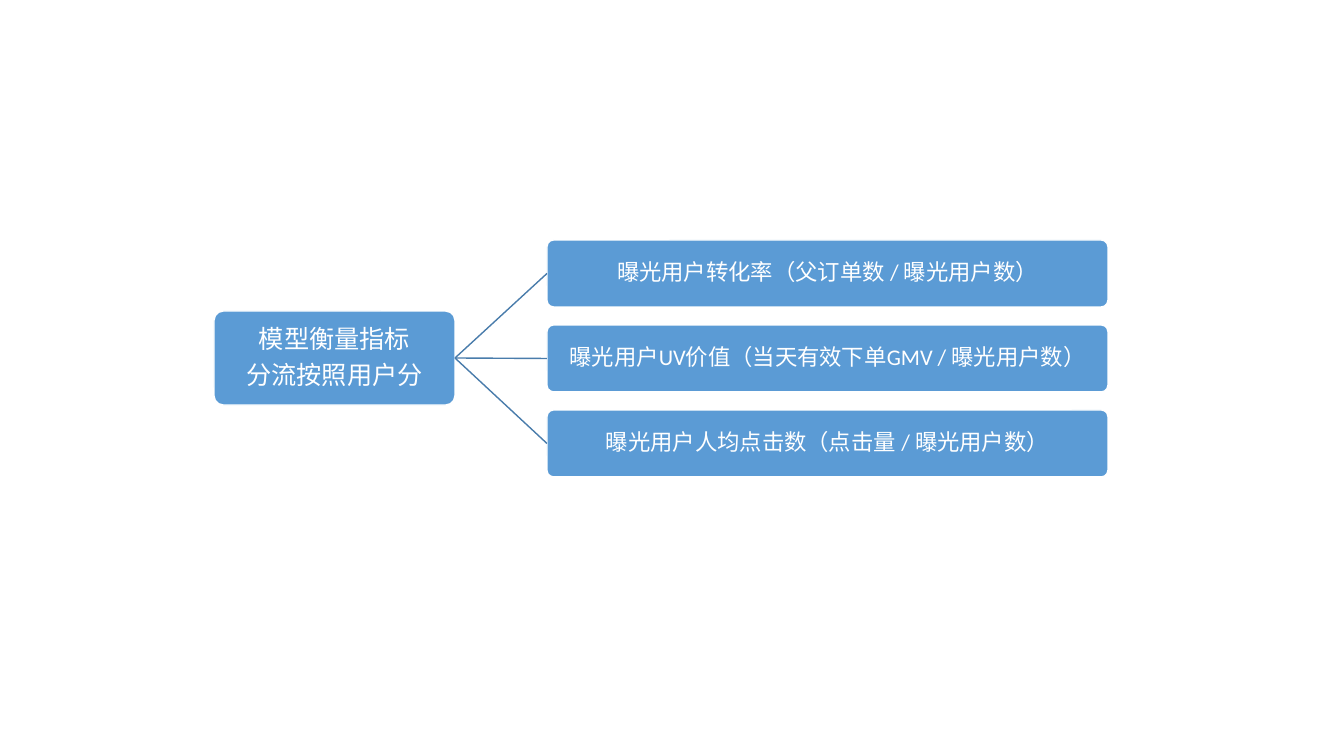
from lxml import etree
from pptx import Presentation
from pptx.dml.color import RGBColor
from pptx.enum.shapes import MSO_CONNECTOR, MSO_SHAPE
from pptx.enum.text import MSO_ANCHOR, PP_ALIGN
from pptx.oxml.ns import qn
from pptx.util import Emu, Pt

ROUNDED = MSO_SHAPE.ROUNDED_RECTANGLE
STRAIGHT = MSO_CONNECTOR.STRAIGHT
MIDDLE = MSO_ANCHOR.MIDDLE
CENTER = PP_ALIGN.CENTER

BLUE = RGBColor(0x5B, 0x9B, 0xD5)
LINK_BLUE = RGBColor(0x49, 0x7C, 0xAB)
WHITE = RGBColor(0xFF, 0xFF, 0xFF)

LEFT_SITE, RIGHT_SITE = 1, 3

METRICS = [
    "曝光用户转化率（父订单数 / 曝光用户数）",
    "曝光用户UV价值（当天有效下单GMV / 曝光用户数）",
    "曝光用户人均点击数（点击量 / 曝光用户数）",
]
METRIC_TOP, METRIC_PITCH = 240, 85


def px(pixels):
    """Turn pixels (100.8 to the inch) into EMU."""
    return Emu(round(pixels * 914400 / 100.8))


def add_node(left, top, width, height, lines, size):
    """Add a rounded blue box with centred white lines of text."""
    node = slide.shapes.add_shape(ROUNDED, px(left), px(top), px(width), px(height))
    node.adjustments[0] = 0.1
    node.shadow.inherit = False
    node.fill.solid()
    node.fill.fore_color.rgb = BLUE
    node.line.color.rgb = WHITE
    node.line.width = Pt(1)
    frame = node.text_frame
    frame.word_wrap = True
    frame.vertical_anchor = MIDDLE
    frame.margin_left = frame.margin_right = px(1)
    frame.margin_top = frame.margin_bottom = px(1)
    frame.text = "\n".join(lines)
    for paragraph in frame.paragraphs:
        paragraph.alignment = CENTER
        paragraph.line_spacing = 0.9
        paragraph.space_after = Pt(round(size * 0.35, 1))
        paragraph.font.name = "Calibri"
        paragraph.font.size = Pt(size)
        paragraph.font.color.rgb = WHITE
    return node


prs = Presentation()
prs.slide_width, prs.slide_height = px(1344), px(756)
slide = prs.slides.add_slide(prs.slide_layouts[6])

topic = add_node(214, 311, 241, 94, ["模型衡量指标", "分流按照用户分"], 18)

for row, metric in enumerate(METRICS):
    metric_node = add_node(547, METRIC_TOP + row * METRIC_PITCH, 561, 67, [metric], 16)
    branch = slide.shapes.add_connector(STRAIGHT, 0, 0, 0, 0)
    branch.begin_connect(topic, RIGHT_SITE)
    branch.end_connect(metric_node, LEFT_SITE)
    branch.line.color.rgb = LINK_BLUE
    branch.line.width = Pt(1)
    etree.SubElement(branch._element.spPr, qn("a:effectLst"))

prs.save("out.pptx")
